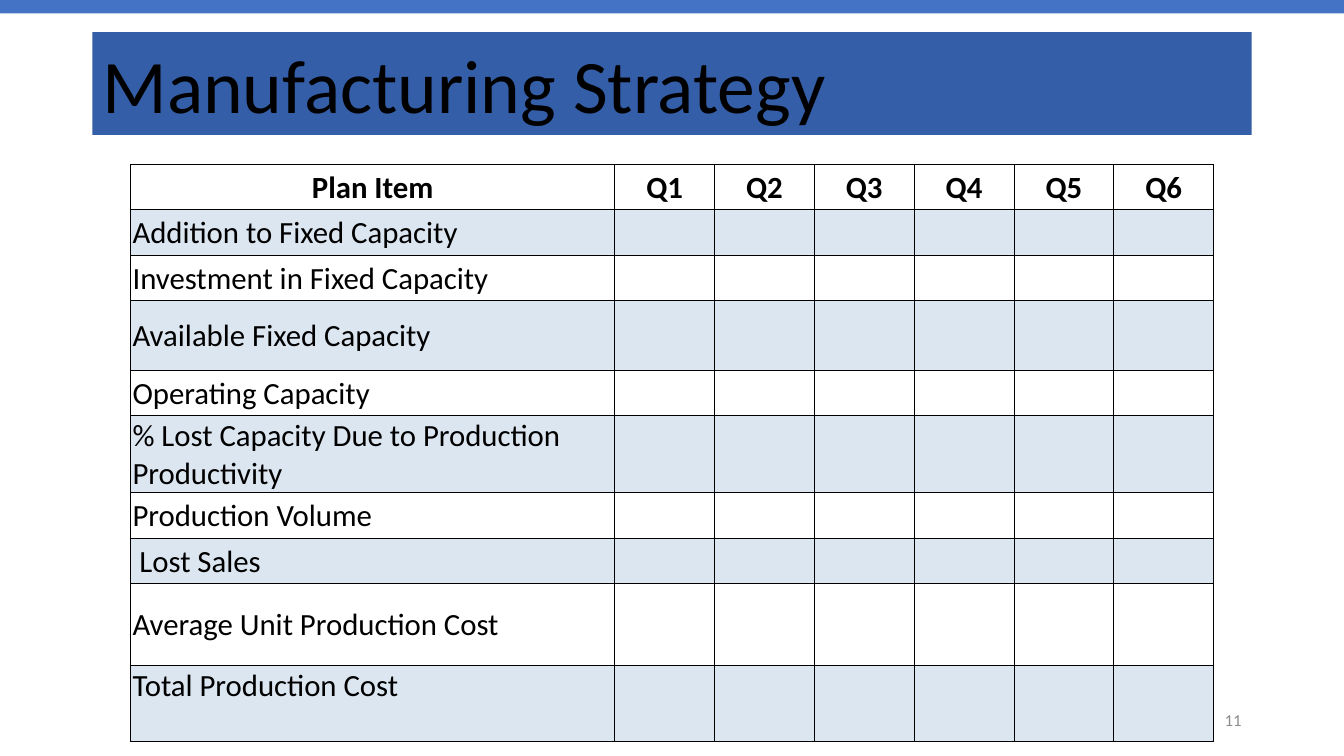
from dataclasses import dataclass

from lxml.etree import SubElement
from pptx import Presentation
from pptx.dml.color import RGBColor
from pptx.enum.shapes import MSO_SHAPE as Preset
from pptx.enum.text import MSO_ANCHOR as Anchor, MSO_AUTO_SIZE as AutoSize, PP_ALIGN as Align
from pptx.oxml.ns import qn
from pptx.util import Pt


@dataclass(frozen=True)
class Theme:
    font: str = "Calibri"
    ink: str = "000000"
    banner: str = "345EA8"
    stripe: str = "4472C4"
    band: str = "DCE6F1"
    muted: str = "8C8C8C"
    title_size: int = 54
    table_size: int = 22
    number_size: int = 12


THEME = Theme()
QUARTERS = [f"Q{quarter}" for quarter in range(1, 7)]
PLAN_ITEMS = [
    ("Addition to Fixed Capacity", 32.5),
    ("Investment in Fixed Capacity", 32.5),
    ("Available Fixed Capacity", 49.7),
    ("Operating Capacity", 32.5),
    ("% Lost Capacity Due to Production Productivity", 55),
    ("Production Volume", 32.5),
    (" Lost Sales", 32.5),
    ("Average Unit Production Cost", 58.3),
    ("Total Production Cost", 54.5),
]
HEADER_HEIGHT = 32.5
ITEM_WIDTH = 345.8
QUARTER_WIDTH = 71.3
THIN, THICK = 0.5, 1


def paint(fill, color):
    fill.solid()
    fill.fore_color.rgb = RGBColor.from_string(color)


def place(shape, left, top, width, height):
    shape.left, shape.top = Pt(left), Pt(top)
    shape.width, shape.height = Pt(width), Pt(height)


def write(frame, text, size, color=THEME.ink, align=Align.LEFT, bold=False):
    paragraph = frame.paragraphs[0]
    paragraph.alignment = align
    run = paragraph.add_run()
    run.text = text
    run.font.name = THEME.font
    run.font.size = Pt(size)
    run.font.bold = bold
    run.font.color.rgb = RGBColor.from_string(color)
    return paragraph


def add_stripe(slide):
    stripe = slide.shapes.add_shape(Preset.RECTANGLE, 0, 0, Pt(960), Pt(9.7))
    stripe.shadow.inherit = False
    paint(stripe.fill, THEME.stripe)
    stripe.line.fill.background()


def set_title(slide, text):
    title = slide.shapes.title
    place(title, 66, 23, 828, 73.4)
    paint(title.fill, THEME.banner)
    frame = title.text_frame
    frame.word_wrap = True
    frame.auto_size = AutoSize.NONE
    frame.vertical_anchor = Anchor.BOTTOM
    write(frame, text, THEME.title_size).line_spacing = 0.9


def add_slide_number(slide, number):
    frame = slide.shapes.add_textbox(Pt(678), Pt(500.5), Pt(216), Pt(28.8)).text_frame
    frame.word_wrap = True
    frame.vertical_anchor = Anchor.MIDDLE
    paragraph = write(frame, number, THEME.number_size, THEME.muted, Align.RIGHT)
    paragraph.line_spacing = 0.9
    paragraph.space_after = Pt(6)


def set_borders(cell, left, right):
    properties = cell._tc.get_or_add_tcPr()
    for side, width in (("L", left), ("R", right), ("T", THIN), ("B", THIN)):
        border = SubElement(properties, qn(f"a:ln{side}"), w=str(Pt(width)))
        fill = SubElement(border, qn("a:solidFill"))
        SubElement(fill, qn("a:srgbClr"), val=THEME.ink)


def fill_cell(cell, text, anchor, align, bold):
    cell.margin_left = cell.margin_right = cell.margin_top = Pt(1.4)
    cell.margin_bottom = 0
    cell.vertical_anchor = anchor
    write(cell.text_frame, text, THEME.table_size, align=align, bold=bold)


def add_plan_table(slide):
    heights = [HEADER_HEIGHT] + [height for _, height in PLAN_ITEMS]
    widths = [ITEM_WIDTH] + [QUARTER_WIDTH] * len(QUARTERS)
    table = slide.shapes.add_table(
        len(heights), len(widths), Pt(93.3), Pt(117.3), Pt(sum(widths)), Pt(sum(heights))
    ).table
    table.first_row = table.horz_banding = False
    for row, height in zip(table.rows, heights):
        row.height = Pt(height)
    for column, width in zip(table.columns, widths):
        column.width = Pt(width)

    last_row, last_column = len(heights) - 1, len(widths) - 1
    for row in range(len(heights)):
        for column in range(len(widths)):
            cell = table.cell(row, column)
            set_borders(
                cell,
                THICK if column == 0 else THIN,
                THICK if column == last_column else THIN,
            )
            if row % 2:
                paint(cell.fill, THEME.band)
            else:
                cell.fill.background()

    for column, heading in enumerate(["Plan Item"] + QUARTERS):
        fill_cell(table.cell(0, column), heading, Anchor.MIDDLE, Align.CENTER, True)
    for row, (item, _) in enumerate(PLAN_ITEMS, start=1):
        anchor = Anchor.TOP if row == last_row else Anchor.MIDDLE
        fill_cell(table.cell(row, 0), item, anchor, Align.LEFT, False)


def main():
    deck = Presentation()
    deck.slide_width, deck.slide_height = Pt(960), Pt(540)
    slide = deck.slides.add_slide(deck.slide_layouts.get_by_name("Title Only"))
    set_title(slide, "Manufacturing Strategy")
    add_stripe(slide)
    add_slide_number(slide, "11")
    add_plan_table(slide)
    deck.save("out.pptx")


if __name__ == "__main__":
    main()
